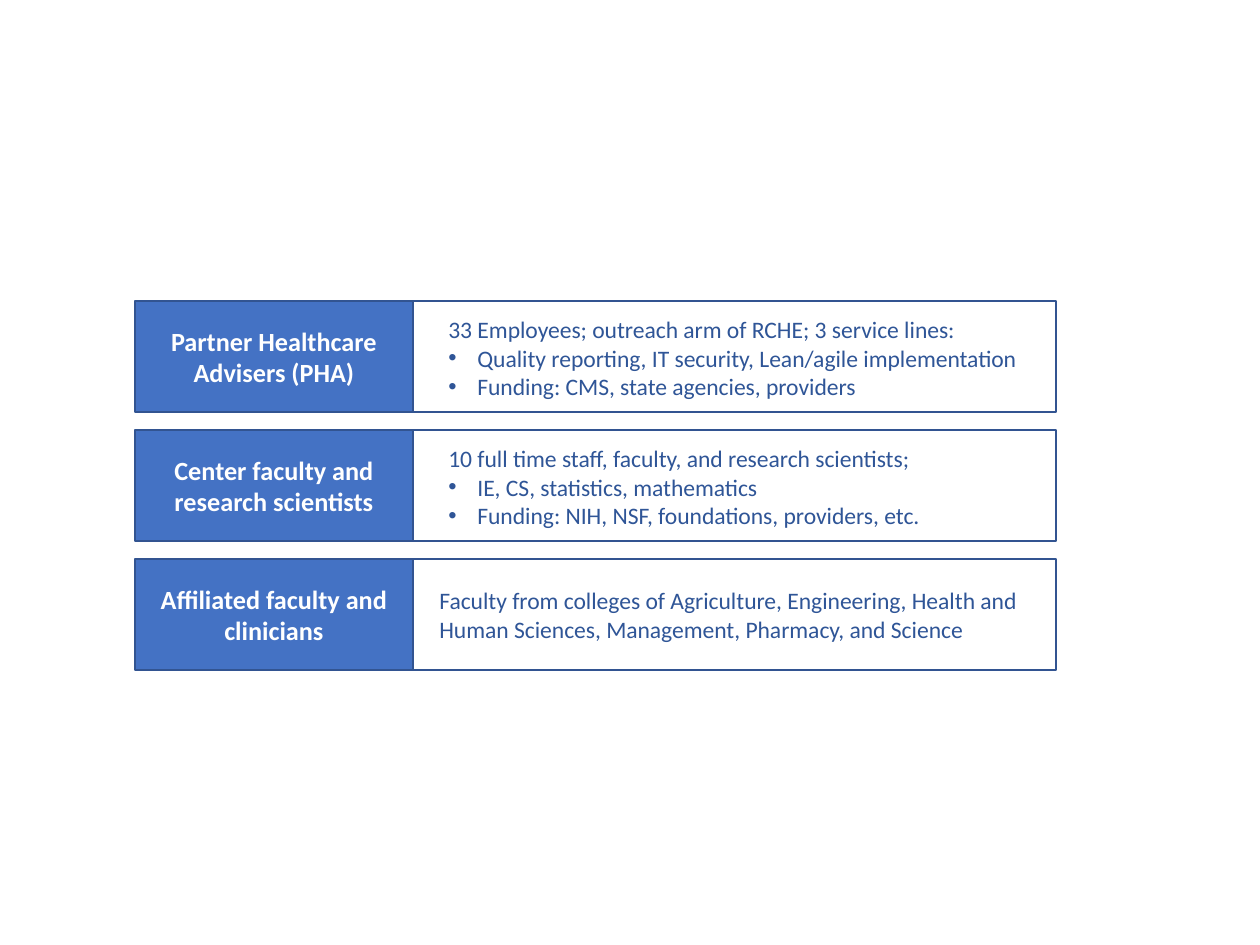
from dataclasses import dataclass

from lxml import etree
from pptx import Presentation
from pptx import util as u
from pptx.dml.color import RGBColor
from pptx.enum import shapes, text
from pptx.oxml.ns import qn
from pptx.shapes.autoshape import Shape
from pptx.slide import Slide

PX = u.Inches(1) / 126
FONT = "Calibri"
WHITE = RGBColor(0xFF, 0xFF, 0xFF)
BLUE = RGBColor(0x44, 0x72, 0xC4)
BORDER = RGBColor(0x32, 0x54, 0x91)
NAVY = RGBColor(0x2F, 0x55, 0x97)

LABEL_LEFT, LABEL_WIDTH = 135, 278
FRAME_LEFT, FRAME_WIDTH = LABEL_LEFT + LABEL_WIDTH, 643
ROW_TOP, ROW_PITCH, ROW_HEIGHT = 301, 129, 111
BULLET_INDENT = 29


@dataclass(frozen=True)
class Area:
    left: int
    top: int
    width: int
    height: int

    def emu(self) -> list[u.Emu]:
        return [px(n) for n in (self.left, self.top, self.width, self.height)]


@dataclass(frozen=True)
class Group:
    label: str
    lines: tuple[str, ...]
    details: Area
    bulleted: bool = True


GROUPS = (
    Group(
        "Partner Healthcare Advisers (PHA)",
        (
            "33 Employees; outreach arm of RCHE; 3 service lines:",
            "Quality reporting, IT security, Lean/agile implementation",
            "Funding: CMS, state agencies, providers",
        ),
        Area(436, 309, 604, 98),
    ),
    Group(
        "Center faculty and research scientists",
        (
            "10 full time staff, faculty, and research scientists;",
            "IE, CS, statistics, mathematics",
            "Funding: NIH, NSF, foundations, providers, etc.",
        ),
        Area(436, 438, 505, 98),
    ),
    Group(
        "Affiliated faculty and clinicians",
        (
            "Faculty from colleges of Agriculture, Engineering, Health and",
            "Human Sciences, Management, Pharmacy, and Science",
        ),
        Area(427, 580, 617, 71),
        bulleted=False,
    ),
)


def px(length: int) -> u.Emu:
    return u.Emu(round(length * PX))


def add_rectangle(page: Slide, area: Area, fill: RGBColor | None = None) -> Shape:
    box = page.shapes.add_shape(shapes.MSO_SHAPE.RECTANGLE, *area.emu())
    box.shadow.inherit = False
    if fill is None:
        box.fill.background()
    else:
        box.fill.solid()
        box.fill.fore_color.rgb = fill
    box.line.color.rgb = BORDER
    box.line.width = u.Pt(1)
    return box


def write(para, words: str, *, size: float, color: RGBColor, bold: bool = False,
          align=text.PP_ALIGN.LEFT, bullet: bool = False) -> None:
    if bullet:
        props = para._p.get_or_add_pPr()
        props.set("marL", str(px(BULLET_INDENT)))
        props.set("indent", str(-px(BULLET_INDENT)))
        etree.SubElement(props, qn("a:buFont")).set("typeface", "Arial")
        etree.SubElement(props, qn("a:buChar")).set("char", "•")
    para.alignment = align
    span = para.add_run()
    span.text = words
    span.font.name = FONT
    span.font.size = u.Pt(size)
    span.font.bold = bold
    span.font.color.rgb = color


def add_label(page: Slide, words: str, top: int) -> None:
    box = add_rectangle(page, Area(LABEL_LEFT, top, LABEL_WIDTH, ROW_HEIGHT), BLUE)
    frame = box.text_frame
    frame.word_wrap = True
    frame.vertical_anchor = text.MSO_ANCHOR.MIDDLE
    write(frame.paragraphs[0], words, size=15, color=WHITE, bold=True,
          align=text.PP_ALIGN.CENTER)


def add_details(page: Slide, group: Group) -> None:
    frame = page.shapes.add_textbox(*group.details.emu()).text_frame
    frame.word_wrap = False
    frame.auto_size = text.MSO_AUTO_SIZE.SHAPE_TO_FIT_TEXT
    for index, line in enumerate(group.lines):
        para = frame.add_paragraph() if index else frame.paragraphs[0]
        write(para, line, size=13.5, color=NAVY, bullet=group.bulleted and index > 0)


def main() -> None:
    deck = Presentation()
    deck.slide_width, deck.slide_height = u.Inches(10), u.Inches(7.5)
    page = deck.slides.add_slide(deck.slide_layouts[6])
    for row, group in enumerate(GROUPS):
        top = ROW_TOP + row * ROW_PITCH
        add_label(page, group.label, top)
        add_details(page, group)
        add_rectangle(page, Area(FRAME_LEFT, top, FRAME_WIDTH, ROW_HEIGHT))
    deck.save("out.pptx")


if __name__ == "__main__":
    main()
